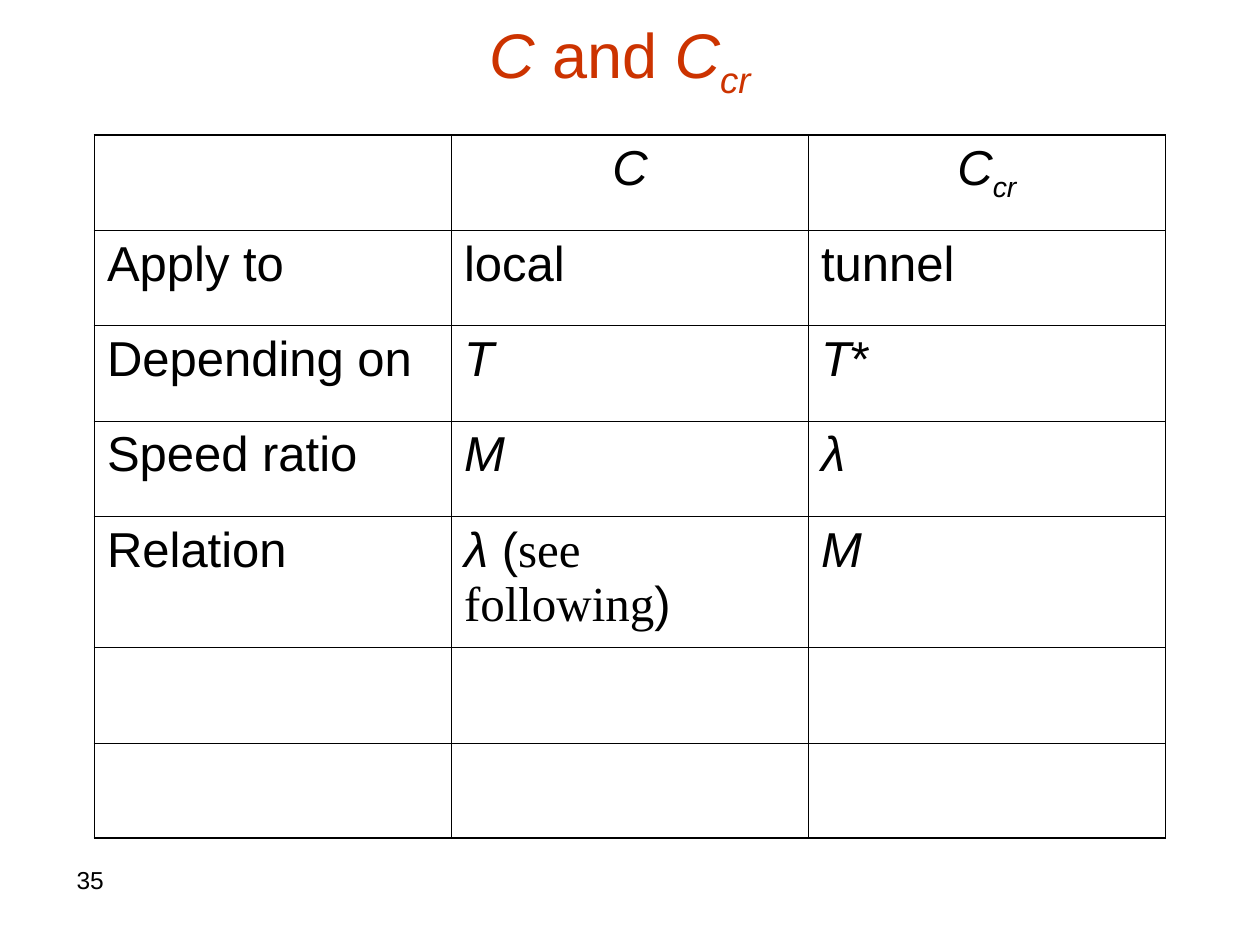
"""Builds the slide comparing C and Ccr in a ruled table."""
import lxml.etree
import pptx
import pptx.dml.color
import pptx.enum.text
import pptx.oxml.ns
import pptx.util

BLACK, RED = "000000", "CC3300"
STYLES = {
    "plain": {"name": "Arial", "italic": False},
    "italic": {"name": "Arial", "italic": True},
    "sub": {"name": "Arial", "italic": True},
    "serif": {"name": "Times New Roman", "italic": False},
}
CENTER = pptx.enum.text.PP_ALIGN.CENTER
LEFT = pptx.enum.text.PP_ALIGN.LEFT
qn = pptx.oxml.ns.qn


def color(hex_string):
    return pptx.dml.color.RGBColor.from_string(hex_string)


def write(paragraph, pieces, size, ink, alignment=LEFT):
    paragraph.alignment = alignment
    for text, style in pieces:
        run = paragraph.add_run()
        run.text = text
        for key, value in {**STYLES[style], "size": pptx.util.Pt(size), "bold": False}.items():
            setattr(run.font, key, value)
        run.font.color.rgb = color(ink)
        if style == "sub":
            run.font._element.set("baseline", "-25000")


deck = pptx.Presentation()
deck.slide_width, deck.slide_height = pptx.util.Inches(10), pptx.util.Inches(7.5)
width, height = deck.slide_width, deck.slide_height
slide = deck.slides.add_slide(deck.slide_layouts[5])

heading = slide.shapes.title
heading_place = {"left": 0.067, "top": 0.028, "width": 0.85, "height": 0.067}
for key, share in heading_place.items():
    setattr(heading, key, int(share * (width if key in ("left", "width") else height)))
heading.text_frame.vertical_anchor = pptx.enum.text.MSO_ANCHOR.MIDDLE
heading.text_frame.auto_size = pptx.enum.text.MSO_AUTO_SIZE.NONE
critical_speed = [("C", "italic"), ("cr", "sub")]
write(heading.text_frame.paragraphs[0],
      [("C", "italic"), (" and ", "plain"), *critical_speed], 36, RED, CENTER)

comparison = [
    [[], [("C", "italic")], critical_speed],
    [[("Apply to", "plain")], [("local", "plain")], [("tunnel", "plain")]],
    [[("Depending on", "plain")], [("T", "italic")], [("T", "italic"), ("*", "plain")]],
    [[("Speed ratio", "plain")], [("M", "italic")], [("λ", "italic")]],
    [[("Relation", "plain")],
     [("λ ", "italic"), ("(", "plain"), ("see following", "serif"), (")", "plain")],
     [("M", "italic")]],
    [[], [], []],
    [[], [], []],
]
row_count, column_count = len(comparison), len(comparison[0])
row_height, relation_height = pptx.util.Inches(0.757), pptx.util.Inches(1.04)
relation_row = 4
grid_width = int(0.85 * width)
grid = slide.shapes.add_table(
    row_count, column_count, int(0.075 * width), int(0.143 * height),
    grid_width, row_height * (row_count - 1) + relation_height).table
grid.first_row = grid.horz_banding = False
for column in grid.columns:
    column.width = grid_width // column_count

for r, line in enumerate(comparison):
    grid.rows[r].height = relation_height if r == relation_row else row_height
    for c, pieces in enumerate(line):
        cell = grid.cell(r, c)
        paragraph = cell.text_frame.paragraphs[0]
        write(paragraph, pieces, 28, BLACK, LEFT if r else CENTER)
        outer_sides = {"lnL": c == 0, "lnR": c == column_count - 1,
                       "lnT": r == 0, "lnB": r == row_count - 1}
        properties = cell._tc.get_or_add_tcPr()
        for side, outer in outer_sides.items():
            border = lxml.etree.SubElement(properties, qn("a:" + side),
                                           w=str(pptx.util.Pt(1.08 if outer else 0.45)))
            paint = lxml.etree.SubElement(border, qn("a:solidFill"))
            lxml.etree.SubElement(paint, qn("a:srgbClr"), val=BLACK)
        cell.fill.background()

page_number = slide.shapes.add_textbox(
    int(0.051 * width), int(0.909 * height), int(0.233 * width), int(0.069 * height))
page_number.text_frame.word_wrap = True
write(page_number.text_frame.paragraphs[0], [("35", "plain")], 14, BLACK)

deck.save("out.pptx")
